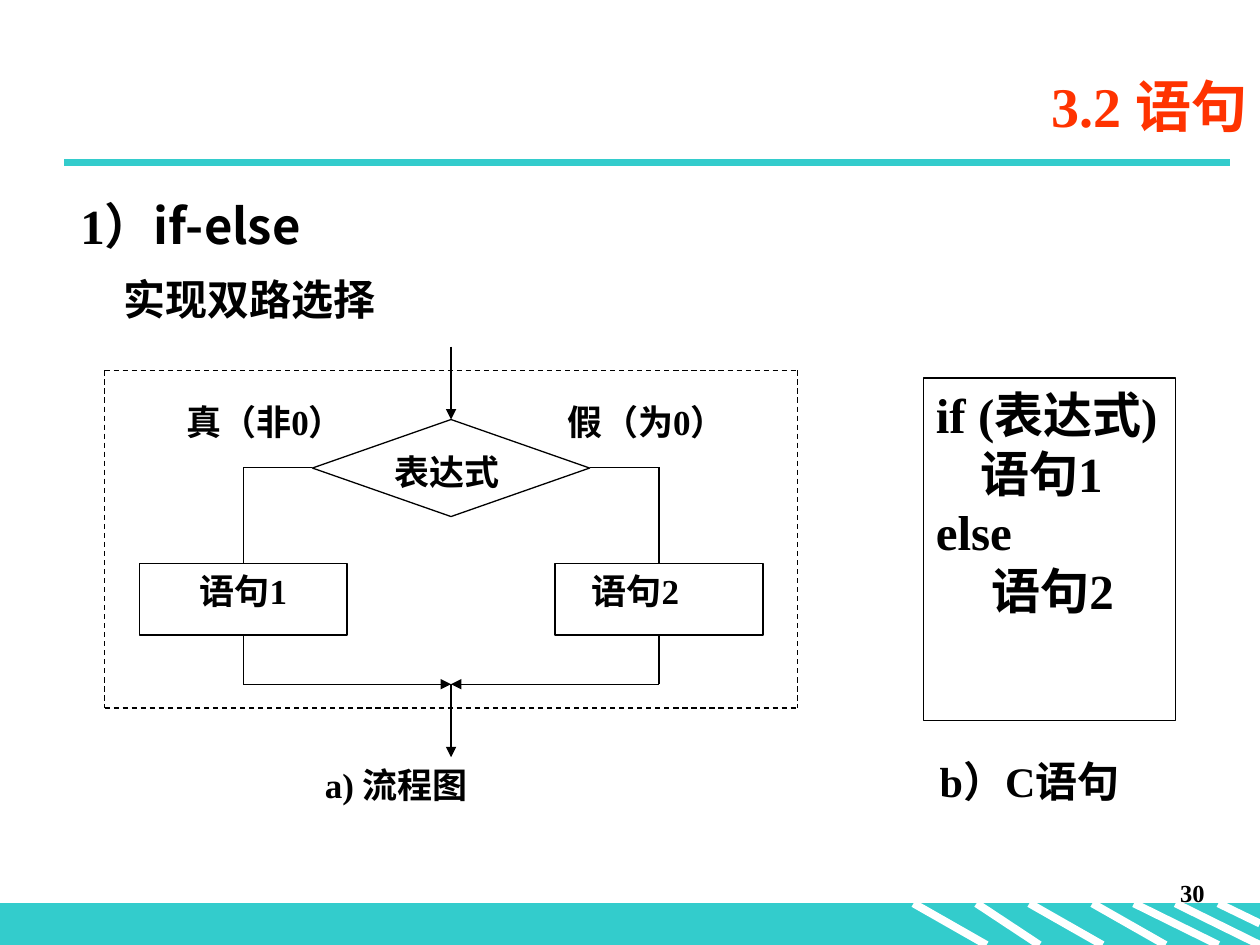
from lxml import etree
from pptx import Presentation
from pptx.dml.color import RGBColor
from pptx.enum.dml import MSO_LINE
from pptx.enum.shapes import MSO_CONNECTOR, MSO_SHAPE
from pptx.enum.text import MSO_ANCHOR, PP_ALIGN
from pptx.oxml.ns import qn
from pptx.util import Inches, Pt

RECTANGLE = MSO_SHAPE.RECTANGLE
DECISION = MSO_SHAPE.FLOWCHART_DECISION
STRAIGHT = MSO_CONNECTOR.STRAIGHT
DASH = MSO_LINE.DASH
TOP = MSO_ANCHOR.TOP
MIDDLE = MSO_ANCHOR.MIDDLE
RIGHT = PP_ALIGN.RIGHT
JUSTIFY = PP_ALIGN.JUSTIFY
SERIF = "Times New Roman"
SANS = "Noto Sans CJK SC"
COLORS = {"teal": "33CCCC", "white": "FFFFFF", "black": "000000", "title": "FF3300"}


def color(name):
    return RGBColor.from_string(COLORS[name])


def format_run(run, size, font, ink):
    run.font.size = Pt(size)
    run.font.bold = True
    run.font.name = font
    run.font.color.rgb = color(ink)
    east_asian = etree.SubElement(run.font._element, qn("a:ea"))
    east_asian.set("typeface", SANS)


def write_text(shape, lines, size, font=SERIF, ink="black", align=JUSTIFY,
               anchor=TOP, indent=0):
    frame = shape.text_frame
    frame.word_wrap = True
    frame.vertical_anchor = anchor
    frame.text = "\n".join(lines)
    for paragraph in frame.paragraphs:
        paragraph.alignment = align
        if indent:
            properties = paragraph._p.get_or_add_pPr()
            properties.set("marL", str(Inches(indent)))
            properties.set("indent", "0")
        for run in paragraph.runs:
            format_run(run, size, font, ink)
    return frame


def add_text(slide, box, line, size, **style):
    shape = slide.shapes.add_textbox(*map(Inches, box))
    return write_text(shape, [line], size, **style)


def add_box(slide, kind, box, fill="white", line="black"):
    shape = slide.shapes.add_shape(kind, *map(Inches, box))
    shape.shadow.inherit = False
    shape.fill.solid()
    shape.fill.fore_color.rgb = color(fill)
    shape.line.color.rgb = color(line)
    shape.line.width = Pt(0.75)
    return shape


def add_line(slide, start, end, ink="black", width=0.75, arrow=False, dashed=False):
    connector = slide.shapes.add_connector(STRAIGHT, *map(Inches, (*start, *end)))
    connector.line.color.rgb = color(ink)
    connector.line.width = Pt(width)
    if dashed:
        connector.line.dash_style = DASH
    if arrow:
        tail = etree.SubElement(connector.line._get_or_add_ln(), qn("a:tailEnd"))
        tail.set("type", "triangle")
    etree.SubElement(connector._element.spPr, qn("a:effectLst"))


def add_decoration(slide):
    add_box(slide, RECTANGLE, (0, 7.17, 10, 0.33), "teal", "teal")
    stripes = [(7.25, 7.83, 7.5), (7.75, 8.25, 7.5), (8.17, 8.75, 7.5),
               (8.67, 9.25, 7.5), (9, 9.67, 7.5), (9.33, 10, 7.5), (9.67, 10, 7.33)]
    for left, right, bottom in stripes:
        add_line(slide, (left, 7.17), (right, bottom), "white", 4.5)
    add_line(slide, (0.51, 1.29), (9.76, 1.29), "teal", 4.5)


def add_heading(slide):
    add_text(slide, (1.5, 0.44, 8.5, 0.79), "3.2 语句", 32, ink="title",
             align=RIGHT, anchor=MIDDLE)
    heading = add_text(slide, (0.54, 1.5, 9.08, 0.67), "1）", 28)
    keyword = heading.paragraphs[0].add_run()
    keyword.text = "if-else"
    format_run(keyword, 28, SANS, "black")
    summary = add_text(slide, (0.88, 2.17, 8.42, 0.46), "实现双路选择", 24, font=SANS)
    summary.paragraphs[0].line_spacing = 0.9


def add_flowchart(slide):
    center, branch_y, merge_y = 3.58, 3.71, 5.43
    box_width, box_top, box_height = 1.65, 4.47, 0.57
    branches = [(-1, "真（非0）", 1.38, "语句1", 0.38),
                (1, "假（为0）", 4.41, "语句2", 0.19)]

    add_line(slide, (center, 2.75), (center, 3.33), arrow=True)
    decision = add_box(slide, DECISION, (center - 1.1, 3.33, 2.2, 0.77))
    write_text(decision, ["表达式"], 20)
    for side, condition, label_left, statement, indent in branches:
        x = center + side * box_width
        add_line(slide, (x, branch_y), (center + side * 1.1, branch_y))
        add_line(slide, (x, branch_y), (x, box_top))
        add_line(slide, (x, box_top + box_height), (x, merge_y))
        add_line(slide, (x, merge_y), (center, merge_y), arrow=True)
        box = add_box(slide, RECTANGLE,
                      (x - box_width / 2, box_top, box_width, box_height))
        write_text(box, [statement], 20, indent=indent)
        add_text(slide, (label_left, 3.13, 1.93, 0.57), condition, 20)
    add_line(slide, (center, merge_y), (center, 6.01), arrow=True)

    left, top, right, bottom = 0.83, 2.94, 6.33, 5.62
    for x in (left, right):
        add_line(slide, (x, top), (x, bottom), dashed=True)
    for y in (top, bottom):
        add_line(slide, (left, y), (right, y), dashed=True)
    add_text(slide, (2.48, 6.01, 3.02, 0.57), "a) 流程图", 20)


def add_code(slide):
    code = add_box(slide, RECTANGLE, (7.33, 3, 2, 2.72))
    write_text(code, ["if (表达式)", "    语句1", "else", "     语句2"], 28)
    add_text(slide, (7.36, 5.95, 2.25, 0.54), "b）C语句", 24)


def main():
    presentation = Presentation()
    presentation.slide_width = Inches(10)
    presentation.slide_height = Inches(7.5)
    slide = presentation.slides.add_slide(presentation.slide_layouts[6])
    add_decoration(slide)
    add_text(slide, (7.58, 6.92, 2.08, 0.5), "30", 14, align=RIGHT)
    add_heading(slide)
    add_code(slide)
    add_flowchart(slide)
    presentation.save("out.pptx")


if __name__ == "__main__":
    main()
